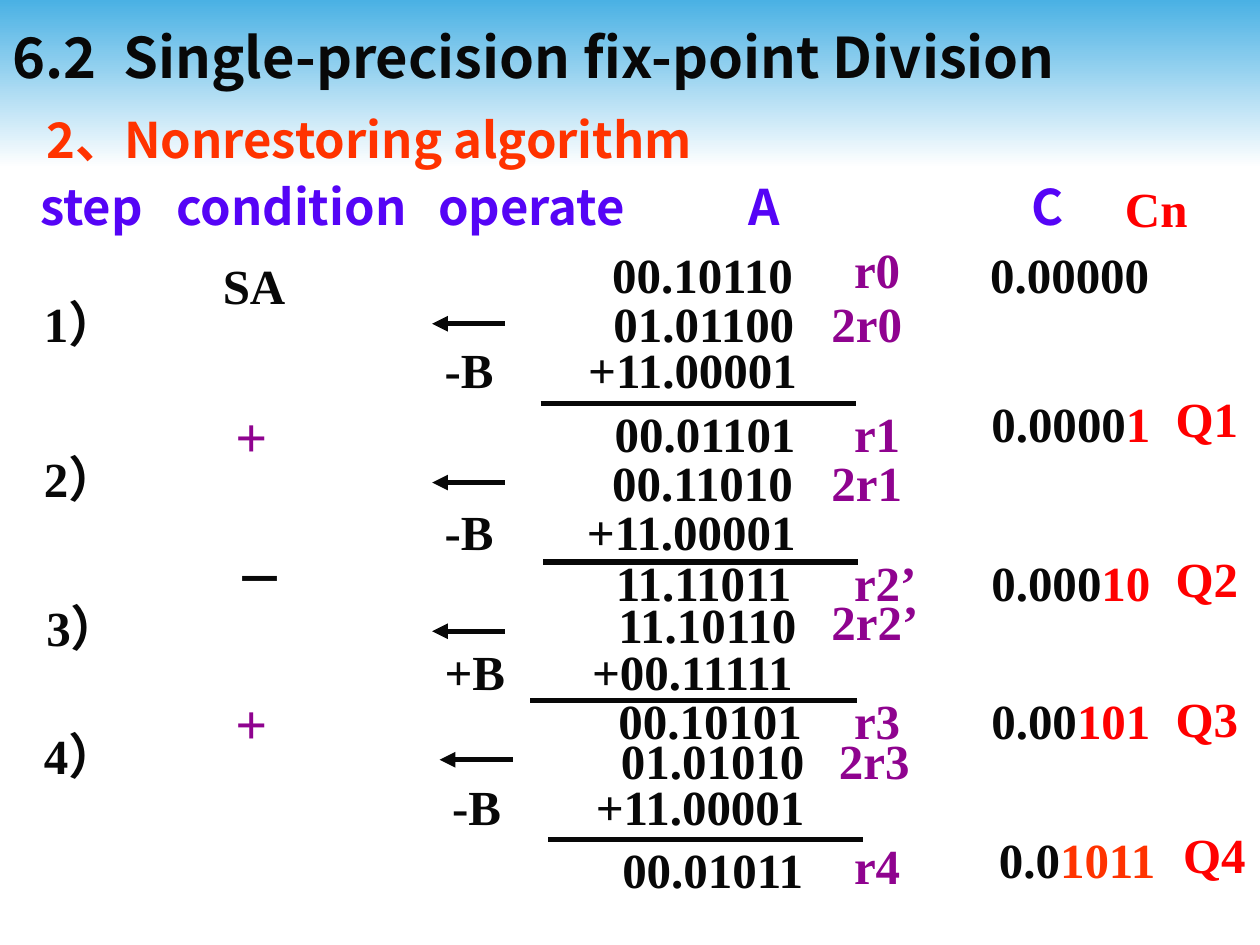
from dataclasses import dataclass, field
from typing import Any, NamedTuple

import pptx
import pptx.dml.color
import pptx.enum.shapes
import pptx.enum.text
import pptx.util
from lxml import etree
from pptx.oxml.ns import qn

Inches = pptx.util.Inches
Pt = pptx.util.Pt
RGBColor = pptx.dml.color.RGBColor
MSO_ANCHOR = pptx.enum.text.MSO_ANCHOR
MSO_AUTO_SIZE = pptx.enum.text.MSO_AUTO_SIZE

SKY = RGBColor(0x4A, 0xB1, 0xE4)
WHITE = RGBColor(0xFF, 0xFF, 0xFF)
INK = RGBColor(0x08, 0x08, 0x08)
ORANGE = RGBColor(0xFF, 0x33, 0x00)
RED = RGBColor(0xFF, 0x00, 0x00)
BLUE = RGBColor(0x55, 0x04, 0xF6)
PURPLE = RGBColor(0x8F, 0x03, 0x8F)
SERIF = "Times New Roman"
SANS = "Noto Sans CJK JP"
EAST_ASIAN = "Noto Sans CJK SC"


@dataclass(frozen=True)
class Style:
    color: RGBColor = INK
    size: int = 28
    font: str = SERIF
    spacing: float = 0.7
    inset: float = 0.1
    tabs: tuple[float, ...] = ()
    frame: dict[str, Any] = field(
        default_factory=lambda: {"auto_size": MSO_AUTO_SIZE.SHAPE_TO_FIT_TEXT}
    )


class Entry(NamedTuple):
    x: float
    y: float
    text: str
    tail: str = ""
    tail_color: RGBColor = RED


class Column(NamedTuple):
    width: float
    height: float
    style: Style
    entries: list[Entry]


class Rule(NamedTuple):
    left: float
    right: float
    y: float
    arrow: bool = False


FIXED = {"auto_size": MSO_AUTO_SIZE.NONE}
TITLE = Style(size=32, font=SANS, spacing=1, tabs=(0.88,),
              frame={**FIXED, "vertical_anchor": MSO_ANCHOR.MIDDLE})
HEADING = Style(ORANGE, font=SANS, spacing=0.8, frame=FIXED)
HEADER = Style(BLUE, font=SANS, tabs=(1.08, 3.16, 5.62, 7.87))
NUMBER = Style()

COLUMNS = [
    Column(10, 0.79, TITLE, [
        Entry(0, 0.05, "6.2\tSingle-precision fix-point Division")]),
    Column(9.53, 6.59, HEADING, [Entry(0.27, 0.91, "2、Nonrestoring algorithm")]),
    Column(9.58, 0.6, HEADER, [
        Entry(0.22, 1.48, "step\tcondition\toperate\tA\tC")]),
    Column(0.92, 0.57, Style(RED, spacing=1), [Entry(8.83, 1.37, "Cn")]),
    Column(4.85, 0.43, Style(tabs=(3,)), [Entry(4.76, 2.02, "00.10110\t0.00000")]),
    Column(1.17, 0.43, NUMBER, [
        Entry(0.25, 2.41, "1）"), Entry(0.25, 3.64, "2）"),
        Entry(0.27, 4.82, "3）"), Entry(0.25, 5.84, "4）"),
        Entry(1.67, 2.11, "SA"),
        Entry(3.43, 2.77, "-B"), Entry(3.43, 4.06, "-B"),
        Entry(3.43, 5.17, "+B"), Entry(3.49, 6.24, "-B")]),
    Column(0.83, 0.48, Style(PURPLE, size=32), [
        Entry(1.77, 3.28, "+"), Entry(1.77, 5.56, "+")]),
    Column(0.92, 0.43, Style(font="Arial"), [Entry(1.77, 4.43, "－")]),
    Column(2.75, 0.43, NUMBER, [
        Entry(4.77, 2.41, "01.01100"), Entry(4.57, 2.77, "+11.00001"),
        Entry(4.78, 3.28, "00.01101"), Entry(4.76, 3.67, "00.11010"),
        Entry(4.56, 4.06, "+11.00001"), Entry(4.79, 4.46, "11.11011"),
        Entry(4.81, 4.8, "11.10110"), Entry(4.6, 5.17, "+00.11111"),
        Entry(4.81, 5.56, "00.10101"), Entry(4.83, 5.88, "01.01010"),
        Entry(4.63, 6.24, "+11.00001"), Entry(4.84, 6.74, "00.01011")]),
    Column(0.92, 0.43, Style(PURPLE), [
        Entry(6.68, 1.98, "r0"), Entry(6.5, 2.41, "2r0"),
        Entry(6.68, 3.28, "r1"), Entry(6.5, 3.67, "2r1"),
        Entry(6.68, 4.46, "r2’"), Entry(6.5, 4.77, "2r2’"),
        Entry(6.68, 5.56, "r3"), Entry(6.56, 5.88, "2r3"),
        Entry(6.68, 6.71, "r4")]),
    Column(1.5, 0.43, NUMBER, [
        Entry(7.77, 3.2, "0.0000", "1"), Entry(7.77, 4.46, "0.000", "10"),
        Entry(7.77, 5.56, "0.00", "101"),
        Entry(7.83, 6.66, "0.0", "1011", ORANGE)]),
    Column(0.59, 0.38, Style(RED, spacing=0.6, inset=0, frame=FIXED), [
        Entry(9.33, 3.2, "Q1"), Entry(9.33, 4.47, "Q2"),
        Entry(9.33, 5.58, "Q3"), Entry(9.39, 6.66, "Q4")]),
]

RULES = [
    Rule(4.29, 6.79, 3.2), Rule(4.31, 6.81, 4.46),
    Rule(4.21, 6.8, 5.56), Rule(4.35, 6.85, 6.66),
    Rule(3.43, 4.01, 2.57, True), Rule(3.43, 4.01, 3.83, True),
    Rule(3.43, 4.01, 5.01, True), Rule(3.49, 4.07, 6.03, True),
]


def draw_banner(s) -> None:
    sp = s.shapes.add_shape(pptx.enum.shapes.MSO_SHAPE.RECTANGLE,
                            0, 0, Inches(10), Inches(1.33))
    sp.shadow.inherit = False
    sp.line.fill.background()
    sp.fill.gradient()
    sp.fill.gradient_angle = 270
    for stop, color in zip(sp.fill.gradient_stops, (SKY, WHITE)):
        stop.color.rgb = color


def add_run(p, text: str, style: Style, color: RGBColor) -> None:
    r = p.add_run()
    r.text = text
    for name, value in {"name": style.font, "size": Pt(style.size), "bold": True}.items():
        setattr(r.font, name, value)
    r.font.color.rgb = color
    etree.SubElement(r._r.get_or_add_rPr(), qn("a:ea"), typeface=EAST_ASIAN)


def draw_entry(s, column: Column, entry: Entry) -> None:
    style = column.style
    sp = s.shapes.add_textbox(Inches(entry.x), Inches(entry.y),
                              Inches(column.width), Inches(column.height))
    tf = sp.text_frame
    margins = {"margin_left": Inches(style.inset), "margin_right": Inches(style.inset),
               "margin_top": Inches(0.05), "margin_bottom": Inches(0.05)}
    for name, value in {"word_wrap": True, **margins, **style.frame}.items():
        setattr(tf, name, value)
    p = tf.paragraphs[0]
    p.line_spacing = style.spacing
    if style.tabs:
        tabs = etree.SubElement(p._p.get_or_add_pPr(), qn("a:tabLst"))
        for stop in style.tabs:
            etree.SubElement(tabs, qn("a:tab"), pos=str(Inches(stop)), algn="l")
    add_run(p, entry.text, style, style.color)
    if entry.tail:
        add_run(p, entry.tail, style, entry.tail_color)


def draw_rule(s, rule: Rule) -> None:
    sp = s.shapes.add_connector(pptx.enum.shapes.MSO_CONNECTOR.STRAIGHT,
                                Inches(rule.left), Inches(rule.y),
                                Inches(rule.right), Inches(rule.y))
    sp.line.width = Pt(3)
    sp.line.color.rgb = INK
    if rule.arrow:
        etree.SubElement(sp.line._get_or_add_ln(), qn("a:headEnd"), type="triangle")
    etree.SubElement(sp._element.spPr, qn("a:effectLst"))


def main() -> None:
    prs = pptx.Presentation()
    prs.slide_width, prs.slide_height = Inches(10), Inches(7.5)
    s = prs.slides.add_slide(prs.slide_layouts[6])
    draw_banner(s)
    for column in COLUMNS:
        for entry in column.entries:
            draw_entry(s, column, entry)
    for rule in RULES:
        draw_rule(s, rule)
    prs.save("out.pptx")


if __name__ == "__main__":
    main()
